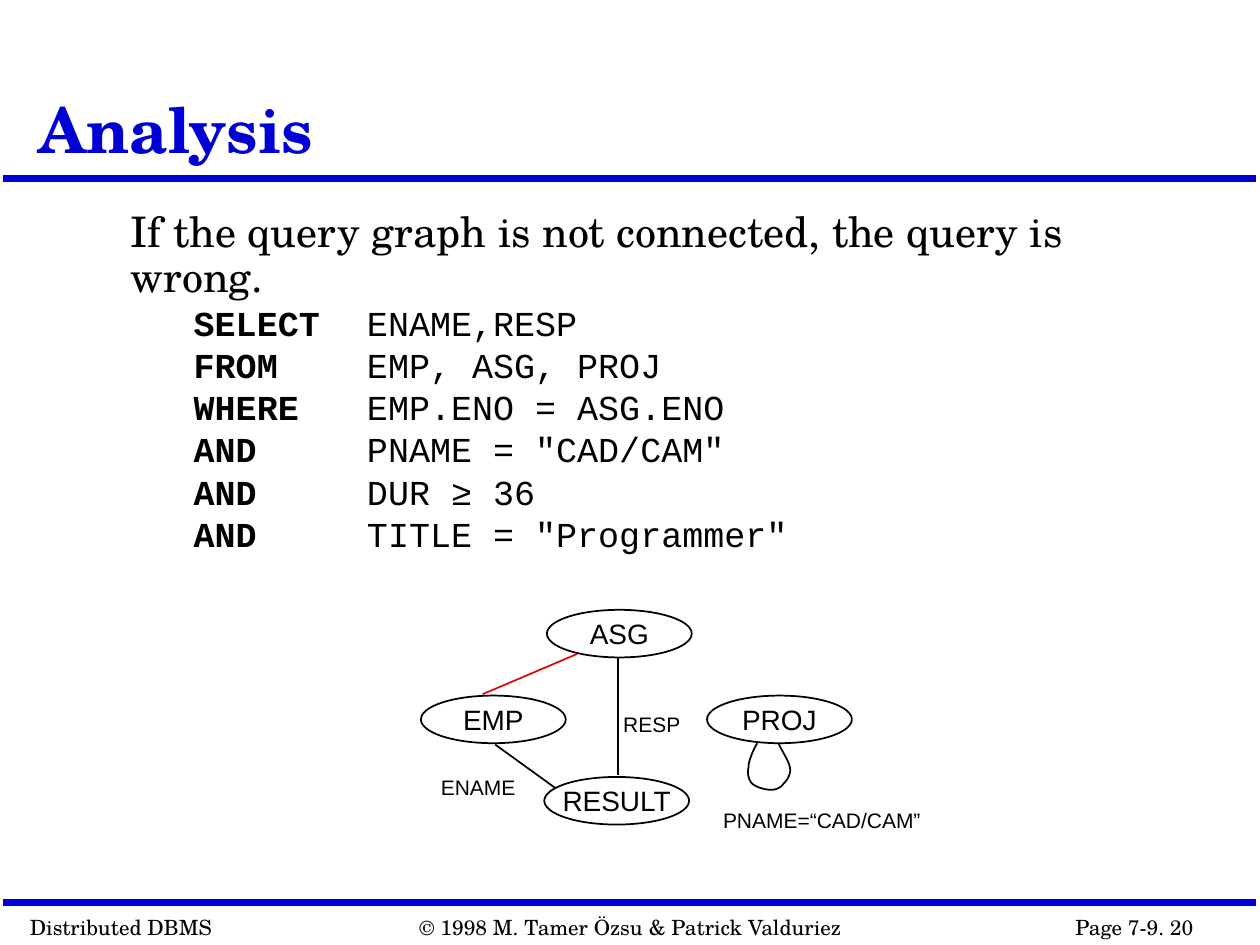
from pptx import Presentation
from pptx.dml.color import RGBColor
from pptx.enum.shapes import MSO_CONNECTOR, MSO_SHAPE
from pptx.enum.text import MSO_ANCHOR, MSO_AUTO_SIZE, PP_ALIGN
from pptx.oxml.ns import qn
from pptx.util import Pt
from lxml.etree import SubElement

SERIF, SANS, MONO = "TeX Gyre Schola", "Arial", "Courier New"
BLACK, BLUE, RED, WHITE = "000000", "0000D4", "DD0806", "FFFFFF"
QUERY = [
    ("SELECT", "ENAME,RESP"),
    ("FROM", "EMP, ASG, PROJ"),
    ("WHERE", "EMP.ENO = ASG.ENO"),
    ("AND", 'PNAME = "CAD/CAM"'),
    ("AND", "DUR ≥ 36"),
    ("AND", 'TITLE = "Programmer"'),
]
NODE_W, NODE_H = 82.8, 27.2
NODES = [("ASG", 72, 0), ("EMP", 0, 49), ("PROJ", 163.5, 49), ("RESULT", 70.5, 95.5)]
EDGES = [
    (42.5, 77, 78.5, 103, BLACK),
    (112.5, 26.6, 112.5, 94.3, BLACK),
    (89.3, 25.2, 35.3, 48.2, RED),
]
LABELS = [
    ("PNAME=“CAD/CAM”", 165.6, 109.2, 128),
    ("ENAME", 4.3, 90.7, 57),
    ("RESP", 108.5, 54.7, 48),
]
LOOP_START = (192.2, 76.3)
LOOP_CURVES = [
    ((190.8, 78.5), (187.2, 85.7), (187.2, 90)),
    ((186.5, 93.6), (187.2, 97.2), (189.3, 99.3)),
    ((191.5, 101.5), (197.3, 102.9), (200.1, 102.9)),
    ((203, 102.9), (205.9, 101.5), (207.3, 99.3)),
    ((209.5, 97.2), (211.7, 93.6), (210.9, 90)),
    ((210.2, 85.7), (205.2, 79.2), (204.5, 76.3)),
]


def rgb(color):
    return RGBColor.from_string(color)


def style(r, font, size, color=BLACK, bold=False):
    r.font.name, r.font.size, r.font.bold = font, Pt(size), bold
    r.font.color.rgb = rgb(color)


def place(sp, box):
    sp.left, sp.top, sp.width, sp.height = (Pt(v) for v in box)


def add_line(s, x1, y1, x2, y2, color, width):
    line = s.shapes.add_connector(MSO_CONNECTOR.STRAIGHT, Pt(x1), Pt(y1), Pt(x2), Pt(y2))
    line.line.color.rgb = rgb(color)
    line.line.width = Pt(width)
    SubElement(line._element.spPr, qn("a:effectLst"))


def add_label(s, text, box, font):
    tf = s.shapes.add_textbox(*(Pt(v) for v in box)).text_frame
    tf.word_wrap = False
    tf.auto_size = MSO_AUTO_SIZE.SHAPE_TO_FIT_TEXT
    tf.text = text
    style(tf.paragraphs[0].runs[0], font, 12)


def add_title(s, box):
    sp = s.shapes.title
    place(sp, box)
    tf = sp.text_frame
    tf.text = "Analysis"
    tf.vertical_anchor = MSO_ANCHOR.BOTTOM
    tf.auto_size = MSO_AUTO_SIZE.NONE
    p = tf.paragraphs[0]
    p.alignment = PP_ALIGN.LEFT
    p.line_spacing = 0.9
    style(p.runs[0], SERIF, 36, BLUE, True)


def format_paragraph(p, margin, indent, before):
    p.line_spacing = 0.9
    p.space_before = Pt(before)
    pPr = p._p.get_or_add_pPr()
    for name, length in (("marL", margin), ("indent", indent), ("defTabSz", 72)):
        pPr.set(name, str(Pt(length)))
    SubElement(pPr, qn("a:buNone"))


def add_query(s, box):
    sp = s.placeholders[1]
    place(sp, box)
    tf = sp.text_frame
    tf.text = "If the query graph is not connected, the query is wrong."
    tf.auto_size = MSO_AUTO_SIZE.NONE
    p = tf.paragraphs[0]
    format_paragraph(p, 0, 0, 9)
    style(p.runs[0], SERIF, 24)
    for keyword, clause in QUERY:
        p = tf.add_paragraph()
        p.level = 1
        format_paragraph(p, 63, -27, 2.5)
        for text, bold in ((keyword + "\t", True), (clause, False)):
            r = p.add_run()
            r.text = text
            style(r, MONO, 20, bold=bold)


def add_node(s, text, x, y):
    sp = s.shapes.add_shape(MSO_SHAPE.OVAL, Pt(x), Pt(y), Pt(NODE_W), Pt(NODE_H))
    sp.shadow.inherit = False
    sp.fill.solid()
    sp.fill.fore_color.rgb = rgb(WHITE)
    sp.line.color.rgb = rgb(BLACK)
    sp.line.width = Pt(1)
    tf = sp.text_frame
    tf.margin_left = tf.margin_right = tf.margin_top = tf.margin_bottom = 0
    tf.word_wrap = False
    tf.vertical_anchor = MSO_ANCHOR.MIDDLE
    tf.text = text
    tf.paragraphs[0].alignment = PP_ALIGN.CENTER
    style(tf.paragraphs[0].runs[0], SANS, 16)


def curve_points(start, curves, steps=8):
    for a, b, end in curves:
        for t in (i / steps for i in range(1, steps + 1)):
            u = 1 - t
            yield tuple(
                u**3 * p0 + 3 * u * u * t * p1 + 3 * u * t * t * p2 + t**3 * p3
                for p0, p1, p2, p3 in zip(start, a, b, end)
            )
        start = end


def add_self_loop(s, left, top):
    fb = s.shapes.build_freeform(Pt(left + LOOP_START[0]), Pt(top + LOOP_START[1]))
    points = curve_points(LOOP_START, LOOP_CURVES)
    fb.add_line_segments([(Pt(left + x), Pt(top + y)) for x, y in points], close=False)
    sp = fb.convert_to_shape()
    sp.shadow.inherit = False
    sp.fill.background()
    sp.line.color.rgb = rgb(BLACK)
    sp.line.width = Pt(1)


def add_query_graph(s, left, top):
    for x1, y1, x2, y2, color in EDGES:
        add_line(s, left + x1, top + y1, left + x2, top + y2, color, 1)
    for text, x, y in NODES:
        add_node(s, text, left + x, top + y)
    add_self_loop(s, left, top)
    for text, x, y, width in LABELS:
        add_label(s, text, (left + x, top + y, width, 21.6), SANS)


def add_footer(s, top):
    for text, left, width in (
        ("Distributed DBMS", 10, 119),
        ("© 1998 M. Tamer Özsu & Patrick Valduriez", 232.5, 257),
        ("Page 7-9. 20", 607.5, 127),
    ):
        add_label(s, text, (left, top, width, 21.6), SERIF)


def main():
    prs = Presentation()
    prs.slide_width, prs.slide_height = Pt(720), Pt(540)
    s = prs.slides.add_slide(prs.slide_layouts[1])
    for y in (102, 516):
        add_line(s, 2, y, 718, y, BLUE, 4)
    add_title(s, (15, 9, 564, 90))
    add_query(s, (67.5, 117, 564, 235.5))
    add_query_graph(s, 240.5, 348.5)
    add_footer(s, 519)
    prs.save("out.pptx")


if __name__ == "__main__":
    main()
